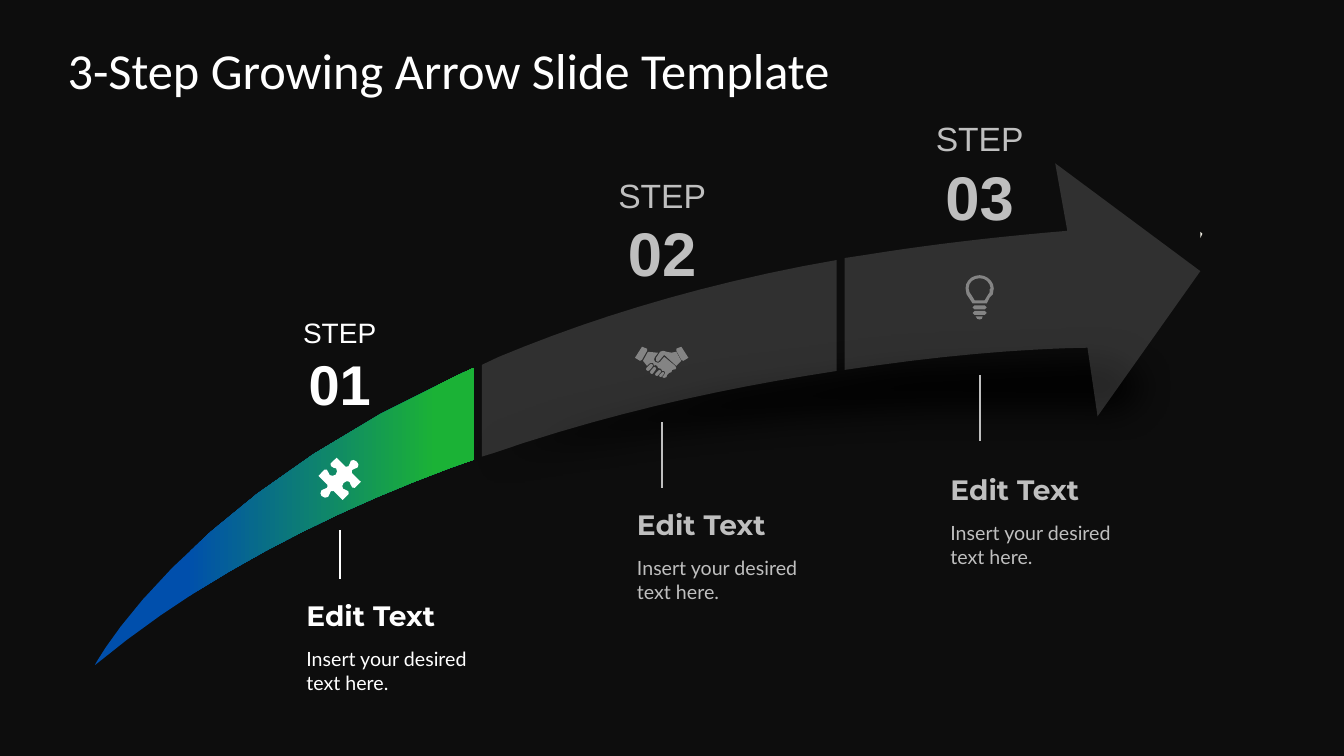
from math import ceil, dist

from lxml import etree
from pptx import Presentation
from pptx.dml.color import RGBColor
from pptx.enum.shapes import MSO_CONNECTOR
from pptx.enum.text import MSO_ANCHOR, PP_ALIGN
from pptx.oxml.ns import qn
from pptx.util import Cm, Pt

LEFT, CENTER = PP_ALIGN.LEFT, PP_ALIGN.CENTER
TOP, MIDDLE, BOTTOM = MSO_ANCHOR.TOP, MSO_ANCHOR.MIDDLE, MSO_ANCHOR.BOTTOM
STRAIGHT = MSO_CONNECTOR.STRAIGHT

BACKGROUND = RGBColor(0x0D, 0x0D, 0x0D)
BLACK = RGBColor(0, 0, 0)
WHITE = RGBColor(0xFF, 0xFF, 0xFF)
GREY = RGBColor(0xBF, 0xBF, 0xBF)
ICON_GREY = RGBColor(0xD9, 0xD9, 0xD9)
CREAM = RGBColor(0xEE, 0xEC, 0xE1)
BLUE = RGBColor(0x00, 0x4F, 0xAC)
GREEN = RGBColor(0x1B, 0xB2, 0x36)

TITLE = "3-Step Growing Arrow Slide Template"
HEADING = "Edit Text"
DESCRIPTION = "Insert your desired text here."

# Positions count in units of 2.54 cm
STEPS = [
    dict(number="01", color=WHITE, sizes=(20, 40), label=(2.68, 3.13), line=(5.26, 5.74), text=(3.04, 5.88)),
    dict(number="02", color=GREY, sizes=(24, 44), label=(5.88, 1.8), line=(4.19, 4.84), text=(6.32, 4.98)),
    dict(number="03", color=GREY, sizes=(24, 44), label=(9.03, 1.24), line=(3.72, 4.38), text=(9.43, 4.63)),
]
LABEL_WIDTH, TEXT_WIDTH = 1.38, 1.84

# Outlines: "x,y" is a corner, six numbers are a Bezier curve, "|" starts a new contour
SHADOW = ("0.75,6.74 0.75,6.74,3.3,3.09,10.72,3.22 10.67,2.63 12.02,3.77 "
          "10.87,5.1 10.83,4.41 10.83,4.41,4.15,4.03,0.75,6.74")
ARROW_HEAD = ("10.47,1.62 11.91,2.69 10.89,4.13 10.79,3.45 10.79,3.45,9.93,3.45,8.66,3.63 8.38,3.67 "
              "8.38,2.56 8.58,2.53 9.2,2.43,9.87,2.35,10.59,2.29")
ARROW_MIDDLE = ("8.3,2.58 8.3,3.68 7.99,3.73 7.06,3.88,5.98,4.12,4.88,4.5 4.78,4.53 4.78,3.62 "
                "4.95,3.54 5.79,3.19,6.79,2.87,7.97,2.64")
ARROW_TAIL = ("4.7,3.65 4.7,4.56 4.47,4.64 3.23,5.1,1.99,5.73,0.94,6.6 "
              "0.94,6.6,1.79,4.98,4.55,3.72")
SPECK = "11.91,2.3 11.93,2.32 11.91,2.36"
PUZZLE = ("3.43,4.86 3.4,4.86,3.38,4.82,3.41,4.79 3.44,4.76,3.48,4.77,3.48,4.81 "
          "3.48,4.83,3.51,4.85,3.52,4.84 3.58,4.78 3.49,4.69 3.48,4.67,3.5,4.65,3.52,4.65 "
          "3.56,4.65,3.57,4.6,3.54,4.58 3.51,4.55,3.47,4.56,3.47,4.6 "
          "3.47,4.62,3.45,4.64,3.43,4.63 3.34,4.54 3.28,4.6 3.27,4.61,3.29,4.64,3.31,4.64 "
          "3.34,4.63,3.36,4.68,3.33,4.71 3.3,4.73,3.26,4.72,3.26,4.69 "
          "3.26,4.67,3.23,4.64,3.22,4.66 3.16,4.72 3.25,4.81 3.26,4.83,3.24,4.85,3.22,4.85 "
          "3.18,4.85,3.17,4.9,3.19,4.92 3.22,4.95,3.27,4.94,3.27,4.9 "
          "3.27,4.88,3.29,4.86,3.31,4.87 3.4,4.96 3.46,4.9 3.47,4.88,3.45,4.86,3.43,4.86")
# One finger in a unit square, then left, top, width, height of each
FINGER = "0.3,1 0.1,0.93 0,0.75 0.08,0.57 0.55,0.1 0.72,0 0.9,0.07 1,0.25 0.9,0.45 0.48,0.93"
FINGERS = [(6.54, 3.69, 0.05, 0.05), (6.5, 3.67, 0.06, 0.06),
           (6.45, 3.64, 0.06, 0.07), (6.41, 3.61, 0.07, 0.07)]
CUFF = "6.3,3.55 6.35,3.58 6.37,3.57 6.42,3.48 6.42,3.46 6.37,3.44"
CUFF_MIRROR = 13.13
LOWER_HAND = ("6.7,3.63 6.59,3.54 6.55,3.59 6.53,3.6 6.5,3.59 6.49,3.58,6.48,3.55,6.5,3.54 "
              "6.53,3.5 6.43,3.49 6.38,3.58 6.42,3.63 6.44,3.61 6.46,3.6 6.48,3.6 6.49,3.63 "
              "6.5,3.62 6.52,3.63 6.53,3.65 6.56,3.66 6.57,3.68 6.59,3.68 6.6,3.7 6.59,3.72 "
              "6.57,3.74 6.59,3.75 6.61,3.75,6.62,3.74,6.62,3.72 6.64,3.7 6.66,3.7,6.67,3.69,6.67,3.67 "
              "6.7,3.67,6.71,3.66,6.71,3.65")
UPPER_HAND = ("6.71,3.49 6.66,3.51,6.62,3.49,6.58,3.48 6.55,3.49 6.51,3.55 6.51,3.58 "
              "6.53,3.59 6.54,3.58 6.59,3.52 6.71,3.63 6.76,3.58")
BULB_BAR = "9.67,3.03 9.77,3.03 9.79,3.05 9.77,3.07 9.67,3.07 9.65,3.05"
BULB_BAR_PITCH = 0.055
BULB_TIP = "9.68,3.14 9.69,3.16,9.7,3.17,9.72,3.17 9.74,3.17,9.75,3.16,9.75,3.14"
BULB_GLASS = ("9.72,2.73 9.64,2.73,9.58,2.79,9.58,2.86 9.59,2.92 9.61,2.95 9.65,3.01 9.79,3.01 "
              "9.82,2.95 9.85,2.92 9.86,2.86 9.86,2.79,9.79,2.73,9.72,2.73 | "
              "9.82,2.87 9.82,2.9 9.8,2.93 9.77,2.98 9.67,2.98 9.64,2.93 9.62,2.9 9.61,2.86 "
              "9.61,2.8,9.66,2.76,9.72,2.76 9.78,2.76,9.82,2.8,9.83,2.86")
PARTS_PER_UNIT, MOST_PARTS = 20, 10


def unit(value):
    """Turn slide units into a length."""
    return Cm(value * 2.54)


def contour_points(contour):
    """Flatten the corners and curves of one contour into points."""
    points = []
    for token in contour.split():
        numbers = [float(number) for number in token.split(",")]
        if len(numbers) == 2:
            points.append(tuple(numbers))
            continue
        ends = [points[-1]] + list(zip(numbers[::2], numbers[1::2]))
        length = sum(map(dist, ends, ends[1:]))
        parts = min(MOST_PARTS, ceil(length * PARTS_PER_UNIT))
        for part in range(1, parts + 1):
            t = part / parts
            weights = ((1 - t) ** 3, 3 * t * (1 - t) ** 2, 3 * t * t * (1 - t), t ** 3)
            points.append(tuple(sum(w * end[axis] for w, end in zip(weights, ends)) for axis in (0, 1)))
    return points


def add_outline(shapes, outline, color=None, alpha=100, scale=(1, 1), shift=(0, 0)):
    contours = [[tuple(unit(p * s + d) for p, s, d in zip(point, scale, shift))
                 for point in contour_points(contour)] for contour in outline.split("|")]
    builder = shapes.build_freeform(*contours[0][0], scale=1.0)
    builder.add_line_segments(contours[0][1:], close=True)
    for contour in contours[1:]:
        builder.move_to(*contour[0])
        builder.add_line_segments(contour[1:], close=True)
    shape = builder.convert_to_shape()
    shape.shadow.inherit = False
    shape.line.fill.background()
    if color is not None:
        shape.fill.solid()
        shape.fill.fore_color.rgb = color
        if alpha < 100:
            tint = shape._element.spPr.find(qn("a:solidFill")).find(qn("a:srgbClr"))
            etree.SubElement(tint, qn("a:alpha")).set("val", str(alpha * 1000))
    return shape


def write_text(box, lines, color, font, sizes, bold=(False,), align=LEFT, anchor=TOP, margin=0, wrap=True):
    frame = box.text_frame
    frame.word_wrap = wrap
    frame.vertical_anchor = anchor
    frame.margin_left = frame.margin_right = 0
    frame.margin_top = frame.margin_bottom = unit(margin)
    for index, (line, size, heavy) in enumerate(zip(lines, sizes, bold)):
        para = frame.paragraphs[0] if index == 0 else frame.add_paragraph()
        para.alignment = align
        span = para.add_run()
        span.text = line
        span.font.name, span.font.size, span.font.bold = font, Pt(size), heavy
        span.font.color.rgb = color


def add_box(slide, *place):
    return slide.shapes.add_textbox(*map(unit, place))


def add_step(slide, number, color, sizes, label, line, text):
    write_text(add_box(slide, *label, LABEL_WIDTH, 1), ("STEP", number), color, "Arial", sizes,
               bold=(False, True), align=CENTER, anchor=MIDDLE)
    x = unit(label[0] + LABEL_WIDTH / 2)
    connector = slide.shapes.add_connector(STRAIGHT, x, unit(line[0]), x, unit(line[1]))
    connector.line.color.rgb = color
    connector.line.width = Pt(1.5)
    etree.SubElement(connector._element.spPr, qn("a:effectLst"))
    left, top = text
    write_text(add_box(slide, left, top, TEXT_WIDTH, 0.44), (HEADING,), color, "Montserrat", (20,),
               bold=(True,), anchor=BOTTOM, margin=0.05)
    write_text(add_box(slide, left, top + 0.49, TEXT_WIDTH, 0.57), (DESCRIPTION,), color, "Lato", (14,),
               margin=0.05)


def add_arrow(slide):
    shadow = add_outline(slide.shapes, SHADOW, BLACK, 91)
    effects = shadow._element.spPr.find(qn("a:effectLst"))
    etree.SubElement(effects, qn("a:softEdge")).set("rad", str(unit(0.35)))
    arrow = slide.shapes.add_group_shape().shapes
    add_outline(arrow, ARROW_HEAD, GREY, 20)
    add_outline(arrow, ARROW_MIDDLE, GREY, 20)
    fill = add_outline(arrow, ARROW_TAIL).fill
    fill.gradient()
    fill.gradient_angle = 0
    for stop, position, color in zip(fill.gradient_stops, (0.24, 0.9), (BLUE, GREEN)):
        stop.position = position
        stop.color.rgb = color
    add_outline(slide.shapes, SPECK, CREAM)


def add_icons(slide):
    add_outline(slide.shapes, PUZZLE, WHITE)
    handshake = slide.shapes.add_group_shape().shapes
    for left, top, width, height in FINGERS:
        add_outline(handshake, FINGER, ICON_GREY, 50, scale=(width, height), shift=(left, top))
    for outline in (CUFF, LOWER_HAND, UPPER_HAND):
        add_outline(handshake, outline, ICON_GREY, 50)
    add_outline(handshake, CUFF, ICON_GREY, 50, scale=(-1, 1), shift=(CUFF_MIRROR, 0))
    bulb = slide.shapes.add_group_shape().shapes
    for row in range(2):
        add_outline(bulb, BULB_BAR, ICON_GREY, 50, shift=(0, row * BULB_BAR_PITCH))
    for outline in (BULB_TIP, BULB_GLASS):
        add_outline(bulb, outline, ICON_GREY, 50)


def main():
    deck = Presentation()
    deck.slide_width, deck.slide_height = Cm(33.87), Cm(19.05)
    slide = deck.slides.add_slide(deck.slide_layouts[5])
    slide.background.fill.solid()
    slide.background.fill.fore_color.rgb = BACKGROUND
    title = slide.shapes.title
    title.left, title.top, title.width, title.height = map(unit, (0.67, 0.3, 12, 0.78))
    write_text(title, (TITLE,), WHITE, "Calibri", (36,), anchor=MIDDLE, wrap=False)
    add_arrow(slide)
    add_icons(slide)
    for step in STEPS:
        add_step(slide, **step)
    deck.save("out.pptx")


if __name__ == "__main__":
    main()
